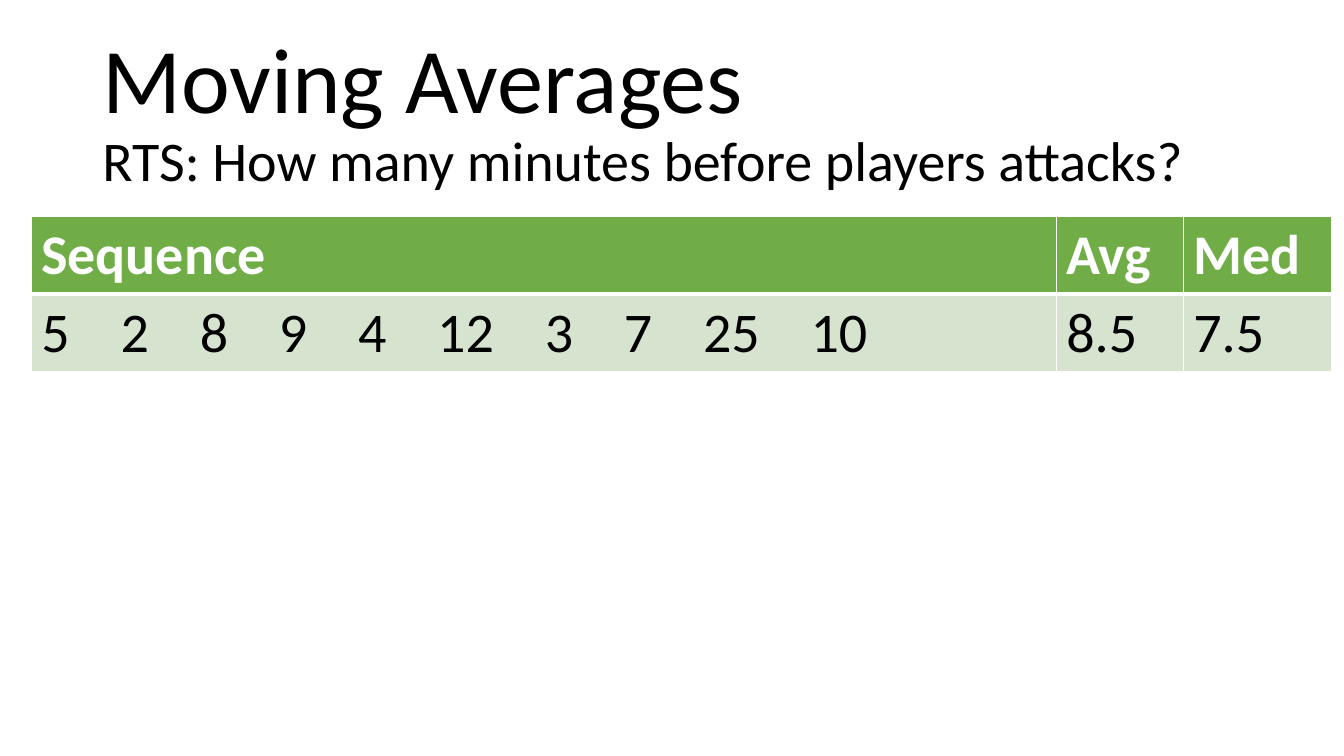
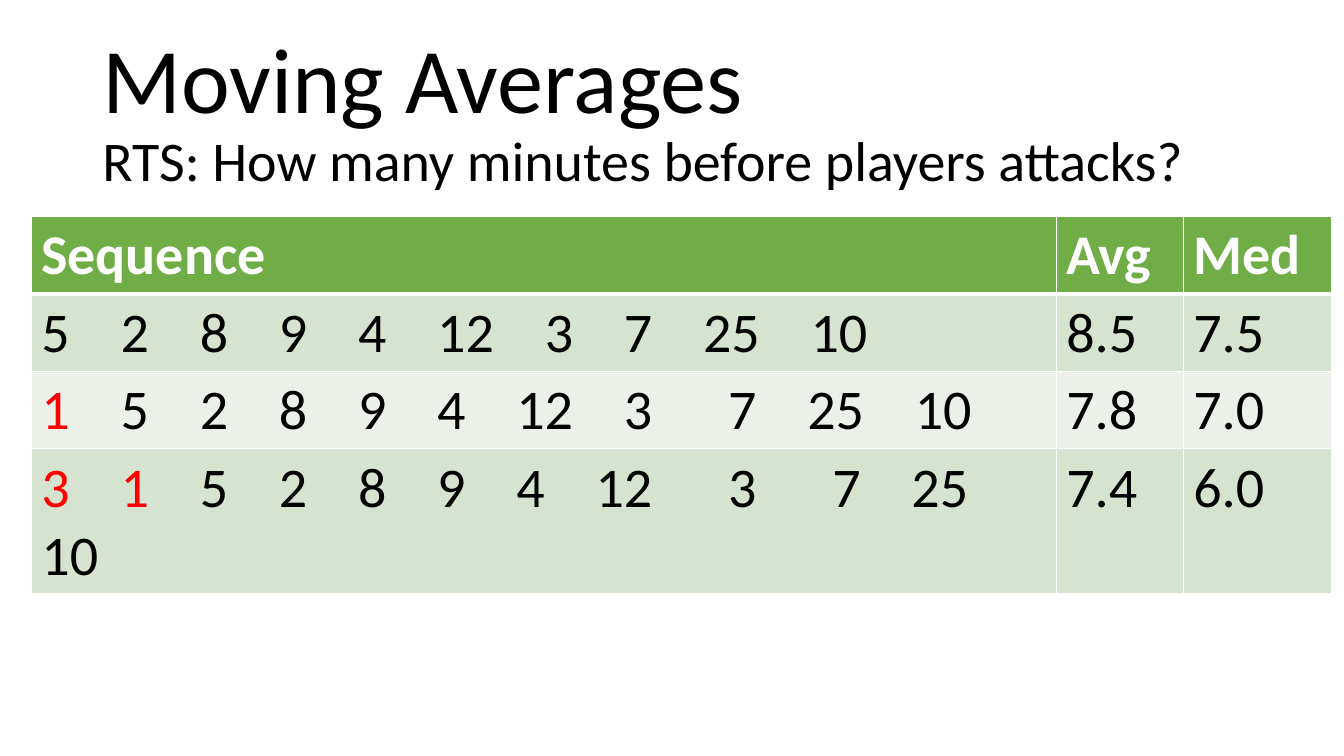
from lxml import etree
from pptx import Presentation
from pptx.dml.color import RGBColor
from pptx.enum.text import MSO_ANCHOR
from pptx.oxml.ns import qn
from pptx.util import Cm, Pt

MIDDLE = MSO_ANCHOR.MIDDLE

COLORS = {
    "text": "000000",
    "new": "FF0000",
    "white": "FFFFFF",
    "header": "70AD47",
    "band_dark": "D5E3CF",
    "band_light": "EBF1E9",
}
FONT = "Calibri"
TITLE = [("Moving Averages", 66), ("RTS: How many minutes before players attacks?", 40)]
HEADERS = ["Sequence", "Avg", "Med"]
COL_WIDTHS = [25.83, 3.2, 3.73]
ROW_HEIGHT = 1.95

# Spacing of the numbers, in cm
DIGIT, GAP, WIDE_GAP = 0.715, 1.28, 1.91

# Each row: new values, values after a wide gap, wraps before last, average, median
SEQUENCE = [5, 2, 8, 9, 4, 12, 3, 7, 25, 10]
ROWS = [
    ([], [], False, "8.5", "7.5"),
    ([1], [7], False, "7.8", "7.0"),
    ([3, 1], [3, 7], True, "7.4", "6.0"),
]


class Deck:
    def __init__(self):
        self.prs = Presentation()
        self.prs.slide_width, self.prs.slide_height = Cm(33.87), Cm(19.05)
        self.slide = None

    def add_slide(self):
        self.slide = self.prs.slides.add_slide(self.prs.slide_layouts[6])

    def style(self, font, size=40, color="text", bold=False):
        font.name, font.size, font.bold = FONT, Pt(size), bold
        font.color.rgb = RGBColor.from_string(COLORS[color])

    def title(self):
        sp = self.slide.shapes.add_textbox(Cm(2.33), Cm(1.02), Cm(29.21), Cm(3.68))
        tf = sp.text_frame
        tf.word_wrap = True
        tf.vertical_anchor = MIDDLE
        for i, (text, size) in enumerate(TITLE):
            p = tf.add_paragraph() if i else tf.paragraphs[0]
            p.text = text
            p.line_spacing = 0.9
            self.style(p.font, size)

    def borders(self, cell, top=1, bottom=1):
        tc_pr = cell._tc.get_or_add_tcPr()
        widths = {"a:lnL": 1, "a:lnR": 1, "a:lnT": top, "a:lnB": bottom}
        for i, (tag, width) in enumerate(widths.items()):
            ln = etree.Element(qn(tag), w=str(Pt(width)))
            fill = etree.SubElement(ln, qn("a:solidFill"))
            etree.SubElement(fill, qn("a:srgbClr"), val=COLORS["white"])
            tc_pr.insert(i, ln)

    def fill(self, cell, color):
        cell.fill.solid()
        cell.fill.fore_color.rgb = RGBColor.from_string(COLORS[color])

    def cell_text(self, cell, text, color="text", bold=False):
        p = cell.text_frame.paragraphs[0]
        p.text = text
        self.style(p.font, color=color, bold=bold)

    def sequence(self, cell, new, wide, wraps):
        """Write the numbers on tab stops, with the new ones in red."""
        p = cell.text_frame.paragraphs[0]
        values = new + SEQUENCE
        last = [values.pop()] if wraps else []

        # One tab stop before every number but the first
        tabs = etree.SubElement(p._p.get_or_add_pPr(), qn("a:tabLst"))
        x = 0
        for i, value in enumerate(values[1:], 1):
            is_wide = i >= len(new) and value in wide
            x += DIGIT * len(str(values[i - 1])) + (WIDE_GAP if is_wide else GAP)
            etree.SubElement(tabs, qn("a:tab"), pos=str(Cm(x)), algn="l")

        self.style(p.font)
        for i, value in enumerate(values):
            r = p.add_run()
            r.text = f"\t{value}" if i else str(value)
            self.style(r.font, color="new" if i < len(new) else "text")
        for value in last:
            p.add_line_break()
            r = p.add_run()
            r.text = str(value)
            self.style(r.font)

    def table(self, rows):
        frame = self.slide.shapes.add_table(
            len(rows) + 1, len(HEADERS), Cm(0.79), Cm(5.46),
            Cm(sum(COL_WIDTHS)), Cm(ROW_HEIGHT * (len(rows) + 1)))
        table = frame.table
        table.first_row = table.horz_banding = False
        for column, width in zip(table.columns, COL_WIDTHS):
            column.width = Cm(width)

        # Header
        for cell, text in zip(table.rows[0].cells, HEADERS):
            self.fill(cell, "header")
            self.borders(cell, bottom=3)
            self.cell_text(cell, text, "white", True)

        # Banded body
        for i, (new, wide, wraps, avg, med) in enumerate(rows, 1):
            cells = list(table.rows[i].cells)
            for cell in cells:
                self.fill(cell, "band_dark" if i % 2 else "band_light")
                self.borders(cell, top=3 if i == 1 else 1)
            self.sequence(cells[0], new, wide, wraps)
            self.cell_text(cells[1], avg)
            self.cell_text(cells[2], med)


def main():
    deck = Deck()
    for row_count in (1, 3):
        deck.add_slide()
        deck.title()
        deck.table(ROWS[:row_count])
    deck.prs.save("out.pptx")


if __name__ == "__main__":
    main()
